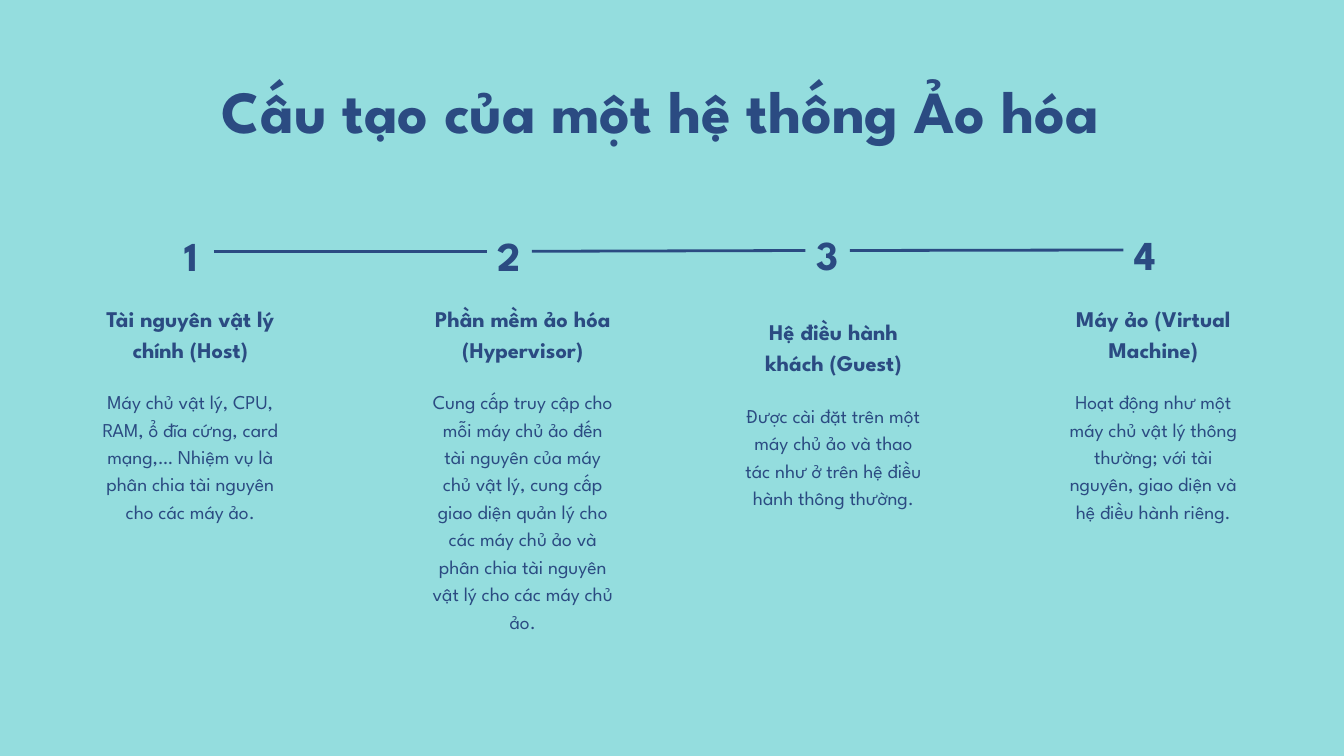
import itertools

import pptx
import pptx.dml.color
import pptx.enum.shapes
import pptx.enum.text
import pptx.oxml.ns
import pptx.util
from lxml import etree
from pptx.util import Cm

COLORS = {"background": "94DDDE", "ink": "2B4B82"}
FONT = "League Spartan"
TITLE = "Cấu tạo của một hệ thống Ảo hóa "
COMPONENTS = [
    {"heading": "Tài nguyên vật lý chính (Host)",
     "body": "Máy chủ vật lý, CPU, RAM, ổ đĩa cứng, card mạng,… Nhiệm vụ là phân chia "
             "tài nguyên cho các máy ảo.",
     "left": 3.78, "top": 11.35, "width": 6.83, "body_height": 6.12, "number_top": 8.41},
    {"heading": "Phần mềm ảo hóa (Hypervisor)",
     "body": "Cung cấp truy cập cho mỗi máy chủ ảo đến tài nguyên của máy chủ vật lý, "
             "cung cấp giao diện quản lý cho các máy chủ ảo và phân chia tài nguyên "
             "vật lý cho các máy chủ ảo.",
     "left": 16.28, "top": 11.35, "width": 6.96, "body_height": 9.19, "number_top": 8.41},
    {"heading": "Hệ điều hành khách (Guest)",
     "body": "Được cài đặt trên một máy chủ ảo và thao tác như ở trên hệ điều hành "
             "thông thường.",
     "left": 28.09, "top": 11.86, "width": 6.83, "body_height": 5.08, "number_top": 8.38},
    {"heading": "Máy ảo (Virtual Machine)",
     "body": "Hoạt động như một máy chủ vật lý thông thường; với tài nguyên, giao diện "
             "và hệ điều hành riêng.",
     "left": 40.18, "top": 11.35, "width": 6.83, "body_height": 6.12, "number_top": 8.36},
]
NUMBER_LEFT, NUMBER_PITCH, NUMBER_WIDTH, NUMBER_HEIGHT = 6.4, 12.02, 1.68, 2.18
HEADING_HEIGHT, BODY_OFFSET = 2.31, 3.25


def color(name):
    return pptx.dml.color.RGBColor.from_string(COLORS[name])


def fill_text(shape, text, size, line_spacing, bold=False):
    frame = shape.text_frame
    frame.word_wrap = True
    frame.auto_size = pptx.enum.text.MSO_AUTO_SIZE.NONE
    frame.vertical_anchor = pptx.enum.text.MSO_ANCHOR.TOP
    frame.margin_left = frame.margin_right = frame.margin_top = frame.margin_bottom = 0
    frame.text = text
    paragraph = frame.paragraphs[0]
    paragraph.alignment = pptx.enum.text.PP_ALIGN.CENTER
    paragraph.line_spacing = pptx.util.Pt(line_spacing)
    paragraph.space_before = pptx.util.Pt(0)
    paragraph.font.name = FONT
    paragraph.font.size = pptx.util.Pt(size)
    paragraph.font.bold = bold
    paragraph.font.color.rgb = color("ink")
    return paragraph


def add_number(slide, index, top):
    left = NUMBER_LEFT + index * NUMBER_PITCH
    shape = slide.shapes.add_textbox(Cm(left), Cm(top), Cm(NUMBER_WIDTH), Cm(NUMBER_HEIGHT))
    paragraph = fill_text(shape, str(index + 1), 44, 61.6, bold=True)
    paragraph.runs[0]._r.get_or_add_rPr().set("spc", "750")
    return shape


def add_link(slide, start, end):
    link = slide.shapes.add_connector(pptx.enum.shapes.MSO_CONNECTOR.STRAIGHT, 0, 0, 0, 0)
    link.begin_connect(start, 3)
    link.end_connect(end, 1)
    link.line.color.rgb = color("ink")
    link.line.width = pptx.util.Pt(3)
    etree.SubElement(link._element.spPr, pptx.oxml.ns.qn("a:effectLst"))


def add_component(slide, component):
    left, top, width = (component[key] for key in ("left", "top", "width"))
    heading = slide.shapes.add_textbox(Cm(left), Cm(top), Cm(width), Cm(HEADING_HEIGHT))
    fill_text(heading, component["heading"], 24, 33.6, bold=True)
    body = slide.shapes.add_textbox(
        Cm(left), Cm(top + BODY_OFFSET), Cm(width), Cm(component["body_height"]))
    fill_text(body, component["body"], 21, 29.4)


def main():
    """Build the slide on the four components of a virtualized system."""
    presentation = pptx.Presentation()
    presentation.slide_width, presentation.slide_height = Cm(50.8), Cm(28.58)
    slide = presentation.slides.add_slide(presentation.slide_layouts[5])
    slide.background.fill.solid()
    slide.background.fill.fore_color.rgb = color("background")

    title = slide.shapes.title
    title.left, title.top, title.width, title.height = Cm(2.84), Cm(2.79), Cm(44.83), Cm(2.74)
    fill_text(title, TITLE, 64, 76.8, bold=True)

    numbers = [add_number(slide, index, component["number_top"])
               for index, component in enumerate(COMPONENTS)]
    for start, end in itertools.pairwise(numbers):
        add_link(slide, start, end)
    for component in COMPONENTS:
        add_component(slide, component)
    presentation.save("out.pptx")


if __name__ == "__main__":
    main()
